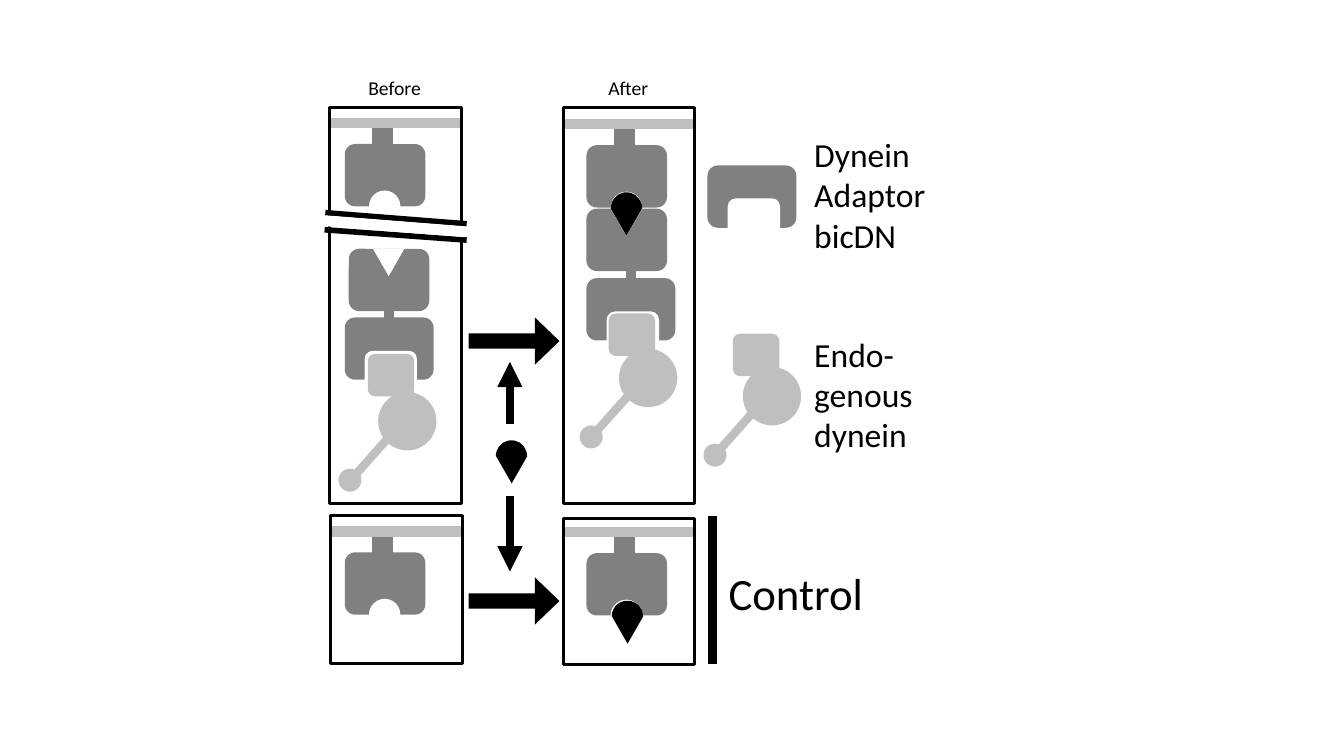
import math
from lxml import etree
from pptx import Presentation
from pptx.dml.color import RGBColor
from pptx.enum.shapes import MSO_CONNECTOR, MSO_SHAPE
from pptx.enum.text import MSO_AUTO_SIZE, PP_ALIGN
from pptx.oxml.ns import qn
from pptx.util import Cm, Pt

RECT, ROUND = MSO_SHAPE.RECTANGLE, MSO_SHAPE.ROUNDED_RECTANGLE
OVAL, TRIANGLE = MSO_SHAPE.OVAL, MSO_SHAPE.ISOSCELES_TRIANGLE
ARROW, STRAIGHT = MSO_SHAPE.RIGHT_ARROW, MSO_CONNECTOR.STRAIGHT
LEFT, CENTER = PP_ALIGN.LEFT, PP_ALIGN.CENTER
COLORS = {"black": "000000", "white": "FFFFFF", "dark": "808080", "light": "BFBFBF"}

# Content: positions in inches, turned into Cm by length()
LABELS = [  # lines, left, top, width, height, size, alignment
    (["Before"], 3.55, 0.7, 0.73, 0.34, 14, CENTER),
    (["After"], 5.93, 0.7, 0.61, 0.34, 14, CENTER),
    (["Dynein", "Adaptor", "bicDN"], 7.98, 1.28, 1.39, 1.31, 24, LEFT),
    (["Endo-", "genous", "dynein"], 7.98, 3.26, 1.19, 1.31, 24, LEFT),
    (["Control"], 7.13, 5.56, 1.55, 0.64, 32, LEFT),
]
PANELS = [  # left, top, width, height, top of the dock inside
    (3.27, 1.07, 1.31, 3.92, 1.43),
    (5.59, 1.07, 1.3, 3.92, 1.44),
    (3.28, 5.12, 1.31, 1.47, 5.48),
    (5.59, 5.14, 1.3, 1.45, 5.49),
]
DOCK_LEFTS = [3.42, 5.82]
BLOCKS = [(3.46, 2.47), (5.82, 2.07)]
ADAPTORS = [(3.42, 3.15, True), (5.82, 2.76, True), (7.02, 1.64, False)]
DYNEINS = [(3.75, 3.89, 3.51), (6.14, 3.46, 3.11), (7.37, 3.64, 3.31)]
DRUGS = [(6.06, 1.91), (4.92, 4.37), (6.07, 5.96)]
STEP_ARROW_TOPS = [3.15, 5.73]
DRUG_ARROWS = [(4.21, 3.59), (4.92, 5.67)]
BREAK_LINES = [  # x1, y1, x2, y2, colour, weight
    (3.22, 2.28, 4.63, 2.38, "black", 4),
    (3.23, 2.11, 4.63, 2.22, "black", 4),
    (3.21, 2.19, 4.62, 2.3, "white", 7.75),
]

deck = Presentation()
deck.slide_width, deck.slide_height = Cm(33.87), Cm(19.05)
page = deck.slides.add_slide(deck.slide_layouts[6])


def length(inches):
    return Cm(round(inches * 2.54, 2))


def color(name):
    return RGBColor.from_string(COLORS[name])


def paint(shape, fill):
    shape.shadow.inherit = False
    shape.fill.solid()
    shape.fill.fore_color.rgb = color(fill)
    shape.line.fill.background()


def add_box(kind, left, top, width, height, fill):
    box = page.shapes.add_shape(kind, *map(length, (left, top, width, height)))
    paint(box, fill)
    return box


def add_line(x1, y1, x2, y2, ink, weight, arrow=False):
    line = page.shapes.add_connector(STRAIGHT, *map(length, (x1, y1, x2, y2)))
    line.line.color.rgb = color(ink)
    line.line.width = Pt(weight)
    if arrow:
        outline = line.line._get_or_add_ln()
        etree.SubElement(outline, qn("a:tailEnd"), type="triangle")
    etree.SubElement(line._element.spPr, qn("a:effectLst"))


def add_panel(left, top, width, height, dock_left, dock_top):
    bar = dock_top - 0.21
    stem = dock_left + 0.38
    add_line(stem, bar, stem, dock_top + 0.03, "dark", 15)
    add_line(left, bar, left + width, bar, "light", 7.5)
    frame = add_box(RECT, left, top, width, height, "white")
    frame.fill.background()
    frame.line.color.rgb = color("black")
    frame.line.width = Pt(2)
    add_box(ROUND, dock_left, dock_top, 0.8, 0.62, "dark")
    add_box(OVAL, dock_left + 0.24, dock_top + 0.46, 0.31, 0.31, "white")


def add_wedge(left, top, fill):
    add_box(TRIANGLE, left, top, 0.31, 0.27, fill).rotation = 180


def add_block(left, top):
    add_box(ROUND, left, top, 0.8, 0.62, "dark")
    add_wedge(left + 0.24, top, "white")


def add_adaptor(left, top, linked):
    if linked:
        add_line(left + 0.44, top - 0.12, left + 0.44, top + 0.18, "dark", 7.5)
    add_box(ROUND, left, top, 0.88, 0.62, "dark")
    add_box(ROUND, left + 0.2, top + 0.33, 0.52, 0.48, "white")


def add_dynein(left, top, square_top):
    add_box(OVAL, left, top, 0.58, 0.58, "light")
    add_line(left + 0.21, top + 0.33, left - 0.25, top + 0.85, "light", 6)
    add_box(OVAL, left - 0.39, top + 0.76, 0.23, 0.23, "light")
    add_line(left + 0.3, top - 0.1, left + 0.34, top + 0.26, "light", 6)
    add_box(ROUND, left - 0.1, square_top, 0.46, 0.42, "light")


def add_drug(left, top):
    radius, base = 0.155, top + 0.155
    add_wedge(left, base, "black")
    angles = [math.pi * step / 24 for step in range(25)]
    dome = [(length(left + radius - radius * math.cos(angle)),
             length(base - radius * math.sin(angle))) for angle in angles]
    dome += [(length(left + 0.28), length(base + 0.015)),
             (length(left + 0.03), length(base + 0.015))]
    builder = page.shapes.build_freeform(*dome[0])
    builder.add_line_segments(dome[1:], close=True)
    paint(builder.convert_to_shape(), "black")


def add_label(lines, left, top, width, height, size, align):
    frame = page.shapes.add_textbox(*map(length, (left, top, width, height))).text_frame
    frame.word_wrap = False
    frame.auto_size = MSO_AUTO_SIZE.SHAPE_TO_FIT_TEXT
    frame.text = "\n".join(lines)
    for para in frame.paragraphs:
        para.alignment = align
        para.font.name, para.font.size = "Calibri", Pt(size)
        para.font.color.rgb = color("black")


# Panels with their docks, and the cut through the first one
for index, (left, top, width, height, dock_top) in enumerate(PANELS):
    add_panel(left, top, width, height, DOCK_LEFTS[index % 2], dock_top)
for cut in BREAK_LINES:
    add_line(*cut)

# Proteins, in panels and legend
for builder, places in [(add_block, BLOCKS), (add_adaptor, ADAPTORS),
                        (add_dynein, DYNEINS), (add_drug, DRUGS)]:
    for place in places:
        builder(*place)

# Arrows and the control bar
for top in STEP_ARROW_TOPS:
    step_arrow = add_box(ARROW, 4.65, top, 0.9, 0.47, "black")
    step_arrow.adjustments[0], step_arrow.adjustments[1] = 0.32, 0.52
for start, end in DRUG_ARROWS:
    add_line(5.06, start, 5.06, end, "black", 6, arrow=True)
add_line(7.07, 5.12, 7.07, 6.59, "black", 6)

# Labels
for label in LABELS:
    add_label(*label)

deck.save("out.pptx")
